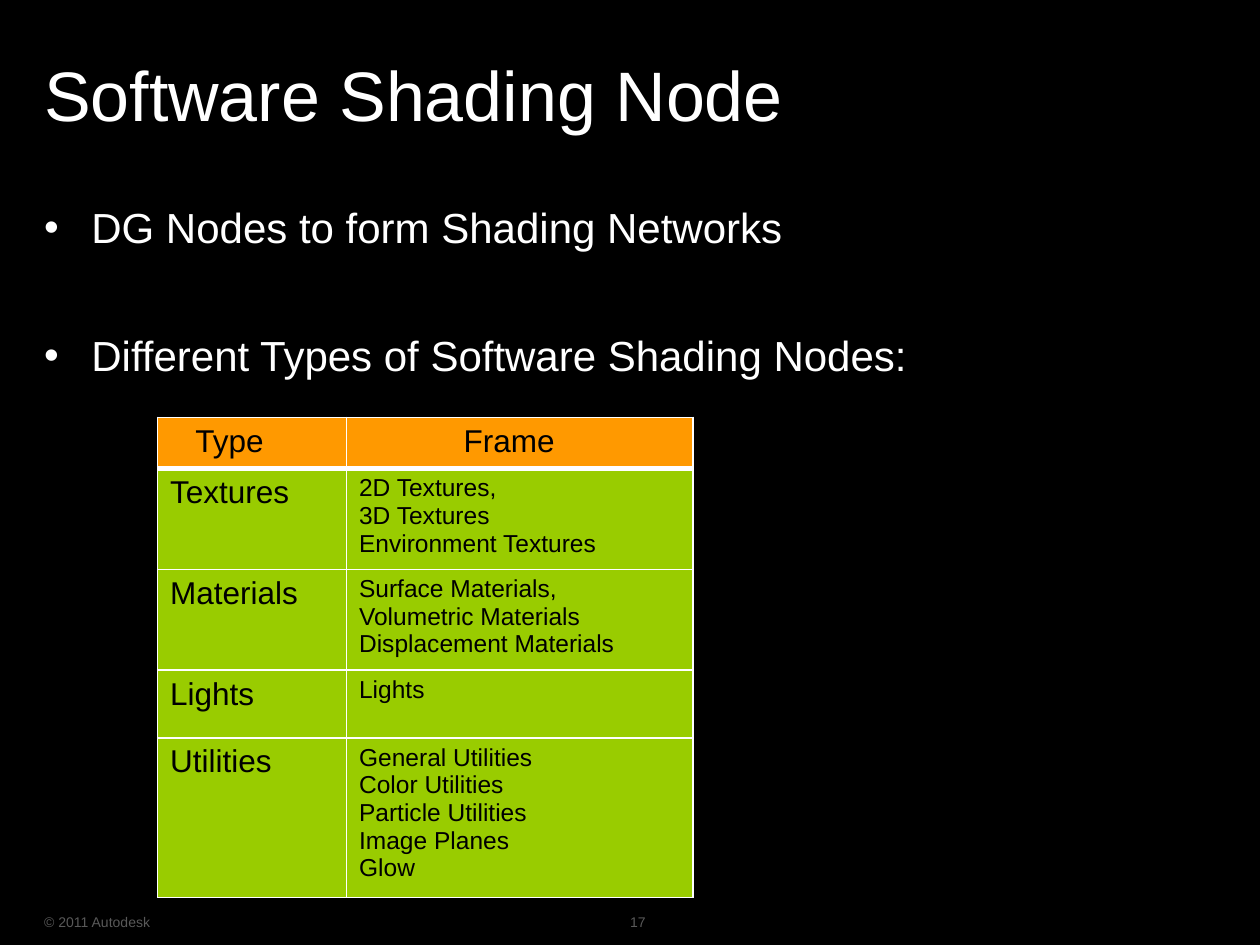
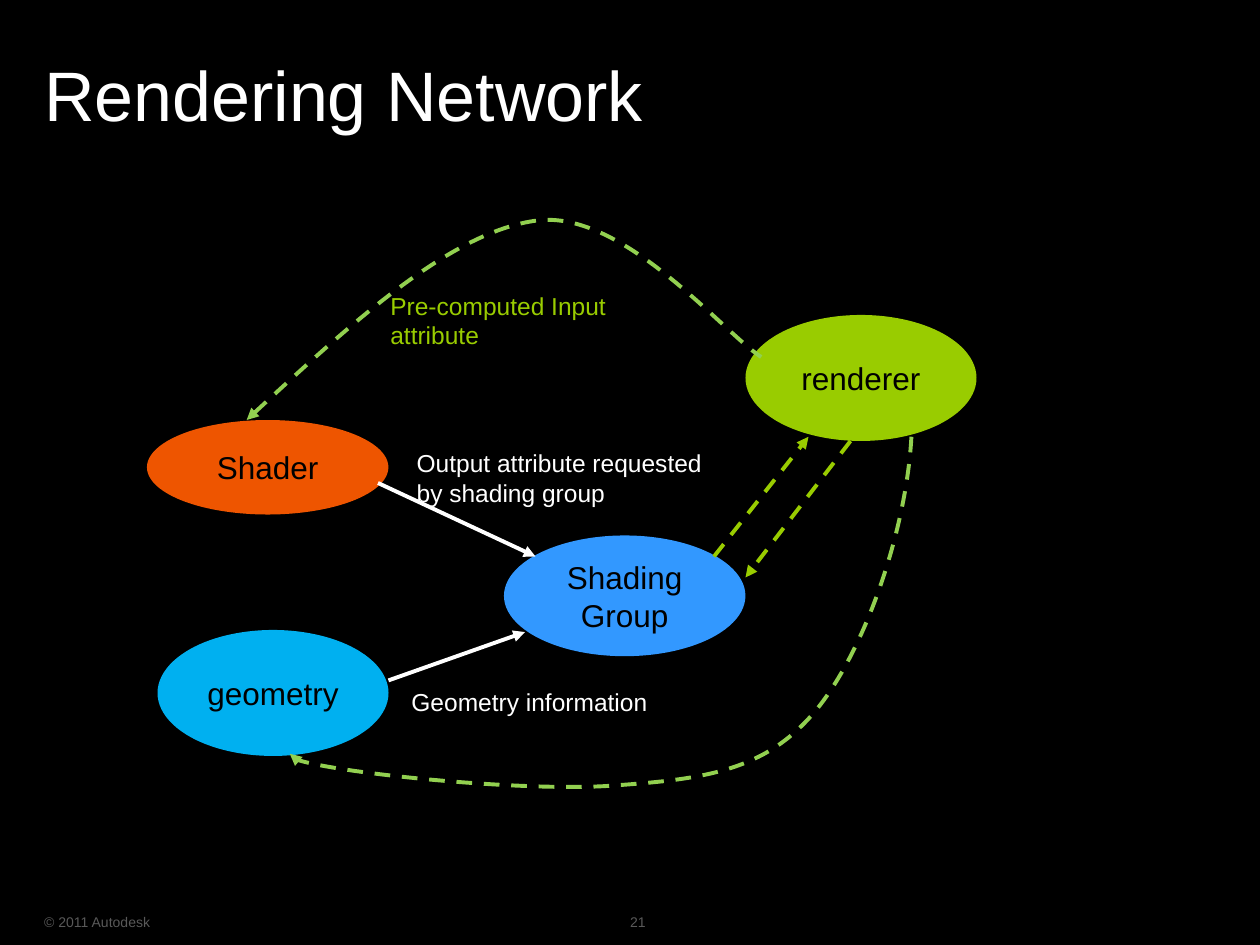
from itertools import product
from typing import NamedTuple

from lxml import etree
from pptx import Presentation
from pptx import util as u
from pptx.dml.color import RGBColor
from pptx.enum import dml, shapes, text
from pptx.oxml import ns

# Palette and type
BLACK = RGBColor(0x00, 0x00, 0x00)
WHITE = RGBColor(0xFF, 0xFF, 0xFF)
GREY = RGBColor(0x59, 0x59, 0x59)
AMBER = RGBColor(0xFF, 0x99, 0x00)
GREEN = RGBColor(0x99, 0xCC, 0x00)
LEAF = RGBColor(0x92, 0xD0, 0x50)
ORANGE = RGBColor(0xEE, 0x55, 0x00)
BLUE = RGBColor(0x32, 0x98, 0xFF)
SKY = RGBColor(0x00, 0xB0, 0xF0)
FONT = "Arial"

# The slide is a grid of 120 columns by 90 rows
WIDTH, HEIGHT = u.Inches(10), u.Inches(7.5)
COLUMNS, ROWS = 120, 90
LAYOUT_CONTENT, LAYOUT_TITLE_ONLY = 1, 5

Point = tuple[float, float]


class Box(NamedTuple):
    col: float
    row: float
    cols: float
    rows: float


class Node(NamedTuple):
    label: str
    box: Box
    fill: RGBColor


class Arrow(NamedTuple):
    start: Point
    end: Point
    color: RGBColor
    dashed: bool = False


class Curve(NamedTuple):
    points: list[Point]  # a start, then three points for each Bézier piece
    arrow_end: str


class Label(NamedTuple):
    words: str
    box: Box
    color: RGBColor = WHITE


class TableRow(NamedTuple):
    kind: str
    frames: list[str]
    rows: float


TITLE = Box(4.2, 1.8, 107.8, 15)
BODY = Box(4.2, 18.6, 107.8, 67.2)
COPYRIGHT = Box(4.2, 86.3, 29, 3)
PAGE_NUMBER = Box(60, 86.3, 4, 3)

# Slide 1 content
BULLETS = ["DG Nodes to form Shading Networks",
           "Different Types of Software Shading Nodes:"]
TABLE_COLS = [18, 33]
HEADER = [("Type", 0.3), ("Frame", 0.93)]  # heading and its left margin
HEADER_ROWS = 4.86
NODE_TYPES = [
    TableRow("Textures", ["2D Textures,", "3D Textures",
                          "Environment Textures"], 9.07),
    TableRow("Materials", ["Surface Materials,", "Volumetric Materials",
                           "Displacement Materials"], 9.07),
    TableRow("Lights", ["Lights"], 6.45),
    TableRow("Utilities", ["General Utilities", "Color Utilities",
                           "Particle Utilities", "Image Planes", "Glow"], 14.3),
]

# Slide 2 content
NODES = [
    Node("renderer", Box(71, 30, 22, 12), GREEN),
    Node("Shader", Box(14, 40, 23, 9), ORANGE),
    Node("Shading Group", Box(48, 51, 23, 11.5), BLUE),
    Node("geometry", Box(15, 60, 22, 12), SKY),
]
ARROWS = [
    Arrow((36, 46), (51, 53), WHITE),
    Arrow((37, 64.8), (50, 60.2), WHITE),
    Arrow((68, 53), (77, 41.6), GREEN, dashed=True),
    Arrow((81, 42), (71, 55), GREEN, dashed=True),
]
CURVES = [
    Curve([(23.5, 40), (33.2, 31), (43.1, 22), (51.2, 21),
           (59.4, 20), (69, 31.8), (72.5, 34)], "headEnd"),
    Curve([(86.8, 41.6), (86.3, 50.8), (82.2, 62.4), (77.5, 67.9),
           (72.8, 73.4), (67.1, 74.2), (58.7, 74.8),
           (50.4, 75.5), (26.2, 73.1), (27.6, 71.8)], "tailEnd"),
]
LABELS = [
    Label("Output attribute requested by shading group",
          Box(38.5, 42.1, 32.5, 6.8)),
    Label("Pre-computed Input attribute", Box(36, 27.1, 31, 6.8), GREEN),
    Label("Geometry information", Box(38, 64.8, 26, 4.1)),
]


# Grid
def x(col: float) -> int:
    return round(WIDTH * col / COLUMNS)


def y(row: float) -> int:
    return round(HEIGHT * row / ROWS)


def place(box: Box) -> tuple[int, int, int, int]:
    return x(box.col), y(box.row), x(box.cols), y(box.rows)


# Text
def style(p, size: float, color: RGBColor) -> None:
    p.font.name, p.font.size, p.font.bold = FONT, u.Pt(size), False
    p.font.color.rgb = color


def write(tf, lines: list[str], size: float, color: RGBColor) -> None:
    tf.word_wrap = True
    for i, line in enumerate(lines):
        p = tf.add_paragraph() if i else tf.paragraphs[0]
        p.text = line
        style(p, size, color)


def flush(tf) -> None:
    tf.margin_left = tf.margin_right = tf.margin_top = tf.margin_bottom = 0


def add_text(s, words: str, box: Box, size: float, color: RGBColor):
    tf = s.shapes.add_textbox(*place(box)).text_frame
    write(tf, [words], size, color)
    return tf


def fill_placeholder(sp, box: Box, lines: list[str], size: float):
    sp.left, sp.top, sp.width, sp.height = place(box)
    tf = sp.text_frame
    tf.auto_size = text.MSO_AUTO_SIZE.NONE
    flush(tf)
    write(tf, lines, size, WHITE)
    for p in tf.paragraphs:
        p.alignment = text.PP_ALIGN.LEFT
    return tf


# Lines
def sub(parent, tag: str, **attributes: str):
    return etree.SubElement(parent, ns.qn(tag), attributes)


def style_line(sp, color: RGBColor, dashed: bool, arrow_end: str) -> None:
    sp.line.color.rgb = color
    sp.line.width = u.Pt(2.25)
    if dashed:
        sp.line.dash_style = dml.MSO_LINE.DASH
    sub(sp.line._get_or_add_ln(), f"a:{arrow_end}", type="triangle")


def add_arrow(s, arrow: Arrow) -> None:
    (c1, r1), (c2, r2) = arrow.start, arrow.end
    sp = s.shapes.add_connector(shapes.MSO_CONNECTOR.STRAIGHT,
                                x(c1), y(r1), x(c2), y(r2))
    style_line(sp, arrow.color, arrow.dashed, "tailEnd")
    sub(sp._element.spPr, "a:effectLst")


def add_curve(s, curve: Curve) -> None:
    start, *rest = [(x(c), y(r)) for c, r in curve.points]
    builder = s.shapes.build_freeform(*start)
    builder.add_line_segments(rest, close=False)
    sp = builder.convert_to_shape()
    # Merge each three straight segments into one Bézier piece
    path = sp._element.find(".//" + ns.qn("a:path"))
    segments = path.findall(ns.qn("a:lnTo"))
    for i in range(0, len(segments), 3):
        bezier = sub(path, "a:cubicBezTo")
        for segment in segments[i:i + 3]:
            bezier.append(segment[0])
            path.remove(segment)
    sp.fill.background()
    sp.shadow.inherit = False
    style_line(sp, LEAF, True, curve.arrow_end)


def add_node(s, node: Node) -> None:
    sp = s.shapes.add_shape(shapes.MSO_SHAPE.OVAL, *place(node.box))
    sp.shadow.inherit = False
    sp.fill.solid()
    sp.fill.fore_color.rgb = node.fill
    sp.line.fill.background()
    tf = sp.text_frame
    tf.vertical_anchor = text.MSO_ANCHOR.MIDDLE
    write(tf, [node.label], 18, BLACK)
    tf.paragraphs[0].alignment = text.PP_ALIGN.CENTER


# Table
def format_cell(cell, fill: RGBColor, top: float, bottom: float) -> None:
    cell.fill.solid()
    cell.fill.fore_color.rgb = fill
    tc_pr = cell._tc.get_or_add_tcPr()
    for i, (side, width) in enumerate(zip("LRTB", (1, 1, top, bottom))):
        ln = etree.Element(ns.qn(f"a:ln{side}"), w=str(u.Pt(width)))
        sub(sub(ln, "a:solidFill"), "a:srgbClr", val=str(WHITE))
        tc_pr.insert(i, ln)


def add_type_table(s) -> None:
    heights = [HEADER_ROWS] + [row.rows for row in NODE_TYPES]
    box = Box(15, 39.75, sum(TABLE_COLS), sum(heights))
    table = s.shapes.add_table(len(heights), len(TABLE_COLS),
                               *place(box)).table
    for column, cols in zip(table.columns, TABLE_COLS):
        column.width = x(cols)
    for row, rows in zip(table.rows, heights):
        row.height = y(rows)
    for r, c in product(range(len(heights)), range(len(TABLE_COLS))):
        format_cell(table.cell(r, c), GREEN if r else AMBER,
                    top=3 if r == 1 else 1, bottom=1 if r else 3)
    for c, (heading, margin) in enumerate(HEADER):
        cell = table.cell(0, c)
        cell.margin_left = u.Inches(margin)
        write(cell.text_frame, [heading], 18, BLACK)
    for r, row in enumerate(NODE_TYPES, start=1):
        write(table.cell(r, 0).text_frame, [row.kind], 18, BLACK)
        write(table.cell(r, 1).text_frame, row.frames, 14, BLACK)


# Slides
def add_slide(prs, layout: int, title: str, number: int):
    s = prs.slides.add_slide(prs.slide_layouts[layout])
    tf = fill_placeholder(s.shapes.title, TITLE, [title], 40)
    tf.vertical_anchor = text.MSO_ANCHOR.MIDDLE
    tf.paragraphs[0].line_spacing = 0.95
    for words, box in (("© 2011 Autodesk", COPYRIGHT),
                       (str(number), PAGE_NUMBER)):
        tf = add_text(s, words, box, 8, GREY)
        flush(tf)
        tf.vertical_anchor = text.MSO_ANCHOR.MIDDLE
    return s


def add_shading_node_slide(prs) -> None:
    s = add_slide(prs, LAYOUT_CONTENT, "Software Shading Node", 17)
    tf = fill_placeholder(s.placeholders[1], BODY, BULLETS, 24)
    tf.margin_top = u.Inches(0.05)
    for i, p in enumerate(tf.paragraphs):
        p.space_before = u.Pt(44.4 if i else 0)
    add_type_table(s)


def add_network_slide(prs) -> None:
    s = add_slide(prs, LAYOUT_TITLE_ONLY, "Rendering Network", 21)
    for node in NODES:
        add_node(s, node)
    for arrow in ARROWS:
        add_arrow(s, arrow)
    for curve in CURVES:
        add_curve(s, curve)
    for label in LABELS:
        add_text(s, label.words, label.box, 14, label.color)


def main() -> None:
    prs = Presentation()
    prs.slide_width, prs.slide_height = WIDTH, HEIGHT
    background = prs.slide_master.background.fill
    background.solid()
    background.fore_color.rgb = BLACK
    add_shading_node_slide(prs)
    add_network_slide(prs)
    prs.save("out.pptx")


if __name__ == "__main__":
    main()
